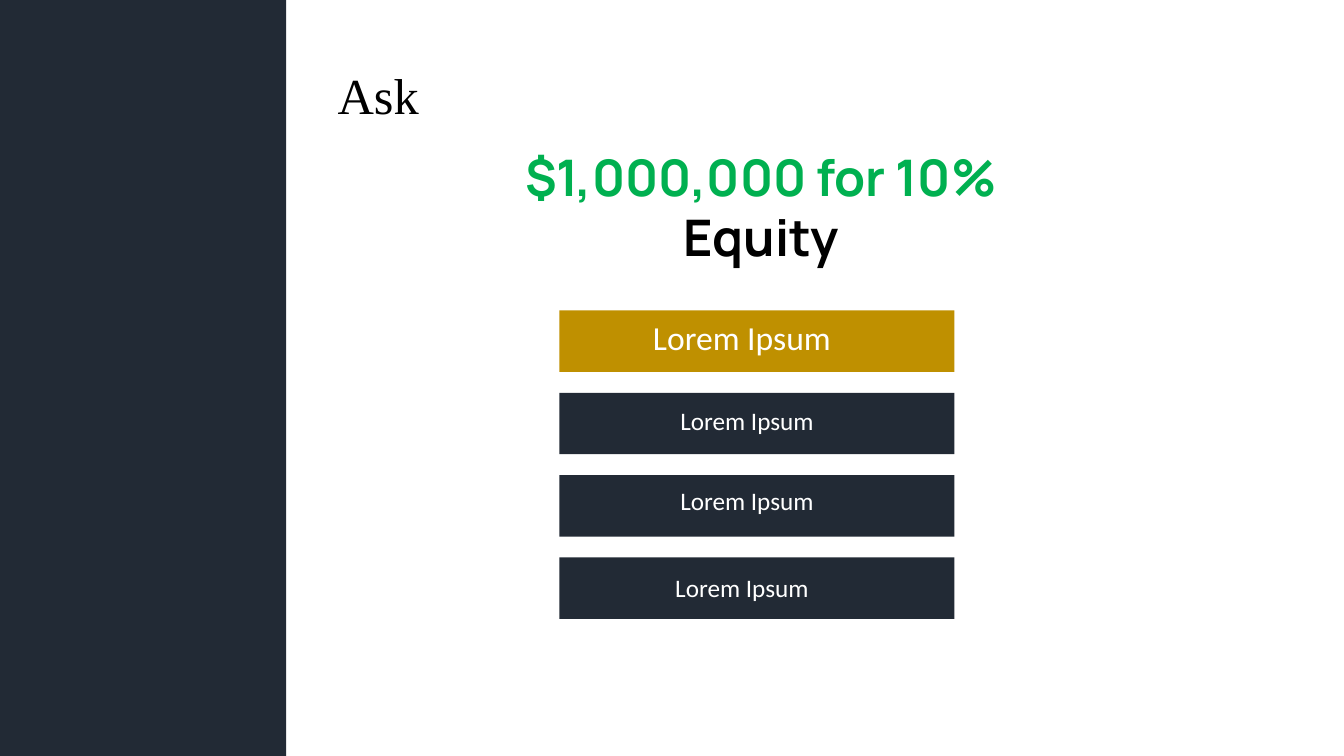
from pptx import Presentation
from pptx.dml.color import RGBColor
from pptx.enum.shapes import MSO_SHAPE
from pptx.enum.text import PP_ALIGN
from pptx.util import Inches, Pt

NAVY = RGBColor(0x22, 0x2A, 0x35)
GOLD = RGBColor(0xBF, 0x90, 0x00)
GREEN = RGBColor(0x00, 0xB0, 0x50)
BLACK = RGBColor(0x00, 0x00, 0x00)
WHITE = RGBColor(0xFF, 0xFF, 0xFF)

SLIDE_W, SLIDE_H = Inches(13.33), Inches(7.5)

# All lengths below are percentages of the slide's width or height.
BAR_LEFT, BAR_TOP, BAR_WIDTH, BAR_HEIGHT = 41.62, 41.07, 29.4, 8.13
BAR_PITCH = 10.89

# Bar colour, label size, label offset within its bar (x, y), label width
BARS = [
    (GOLD, 24, 6.23, 0.13, 24.3),
    (NAVY, 18, 8.26, 0.98, 25.65),
    (NAVY, 18, 8.26, 0.63, 25.95),
    (NAVY, 18, 7.88, 1.33, 26.03),
]


def place(left, top, width, height):
    """Turn percentages of the slide into lengths."""
    return (int(SLIDE_W * left / 100), int(SLIDE_H * top / 100),
            int(SLIDE_W * width / 100), int(SLIDE_H * height / 100))


def add_block(s, box, color):
    block = s.shapes.add_shape(MSO_SHAPE.RECTANGLE, *place(*box))
    block.shadow.inherit = False
    block.fill.solid()
    block.fill.fore_color.rgb = color
    block.line.fill.background()


def add_text(s, box, *runs, size, font, bold=False, align=PP_ALIGN.LEFT,
             spacing=None):
    """Add one paragraph made of (text, colour) runs."""
    tf = s.shapes.add_textbox(*place(*box)).text_frame
    tf.word_wrap = True
    p = tf.paragraphs[0]
    p.alignment = align
    p.line_spacing = spacing
    for text, color in runs:
        r = p.add_run()
        r.text = text
        r.font.size = Pt(size)
        r.font.name = font
        r.font.bold = bold
        r.font.color.rgb = color


def add_bars(s):
    for i, (color, size, dx, dy, label_width) in enumerate(BARS):
        top = BAR_TOP + i * BAR_PITCH
        add_block(s, (BAR_LEFT, top, BAR_WIDTH, BAR_HEIGHT), color)
        add_text(s, (BAR_LEFT + dx, top + dy, label_width, 5.33),
                 ("Lorem Ipsum", WHITE), size=size, font="Calibri")


def main():
    prs = Presentation()
    prs.slide_width, prs.slide_height = SLIDE_W, SLIDE_H
    s = prs.slides.add_slide(prs.slide_layouts[6])

    add_block(s, (0, 0, 21.3, 100), NAVY)
    add_text(s, (24.38, 8.67, 9.6, 10), ("Ask", BLACK),
             size=36, font="Times New Roman", spacing=0.9)
    add_text(s, (37.72, 18.67, 37.8, 17.47),
             ("$1,000,000 for 10% ", GREEN), ("Equity", BLACK),
             size=36, font="Manrope", bold=True, align=PP_ALIGN.CENTER)
    add_bars(s)

    prs.save("out.pptx")


if __name__ == "__main__":
    main()
